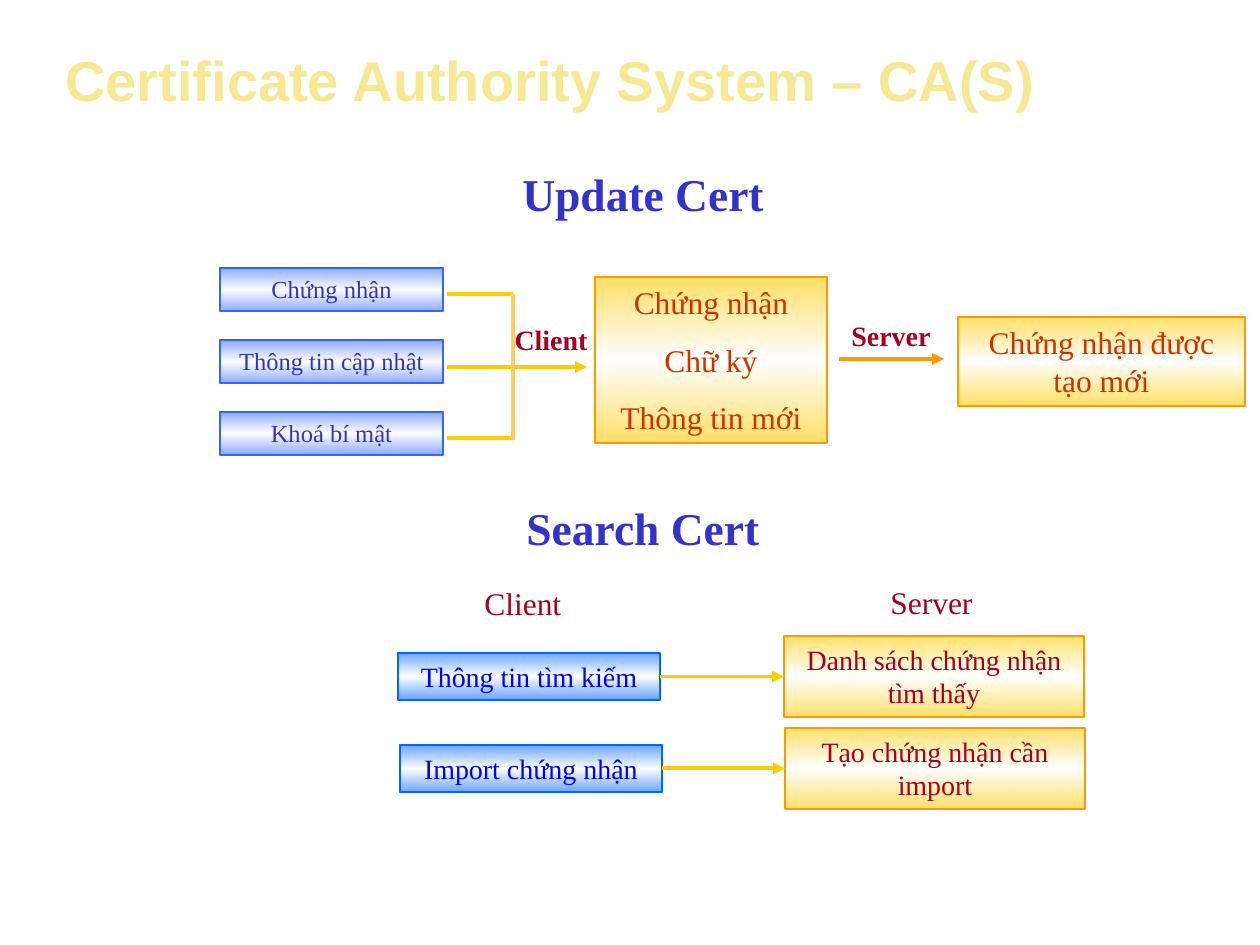
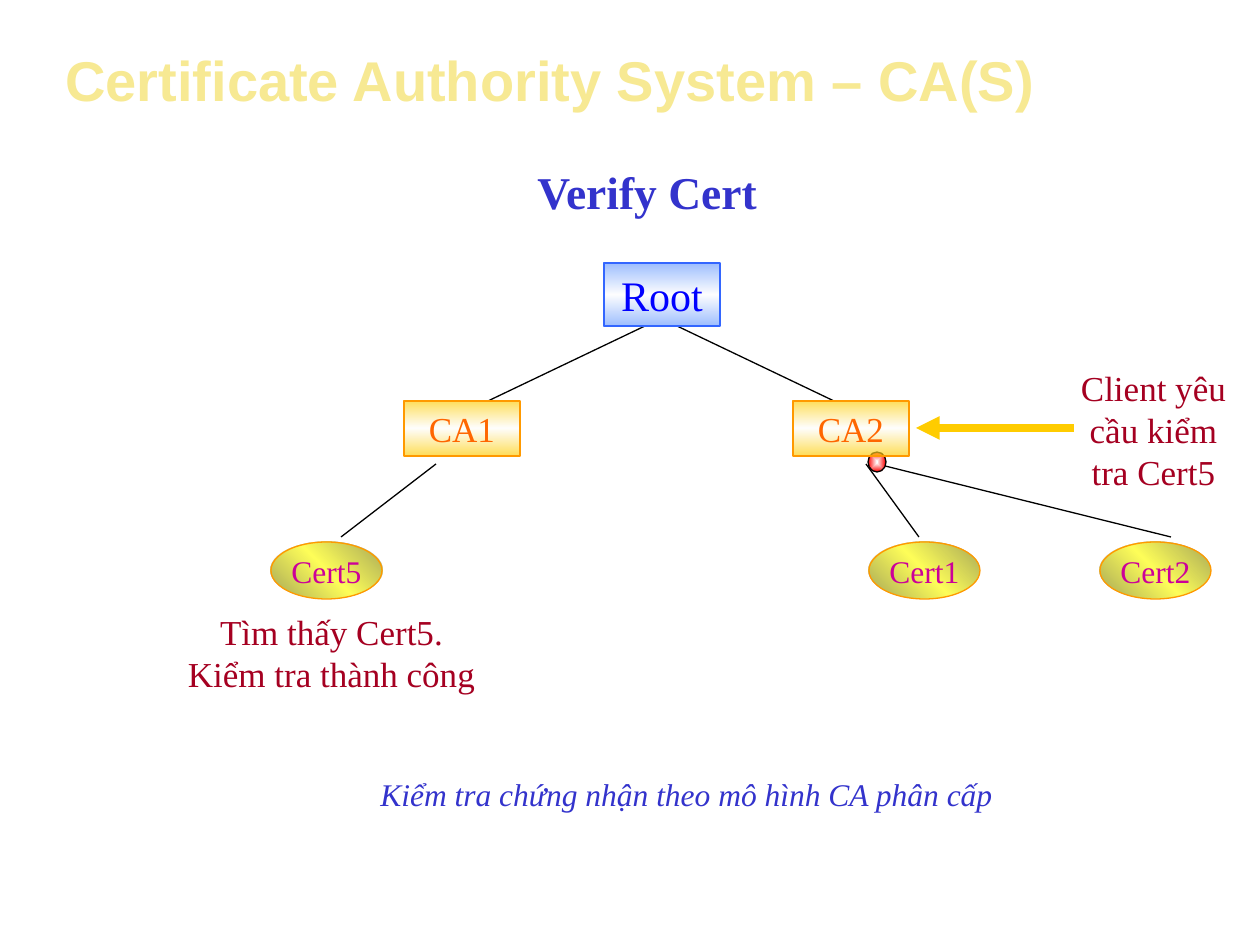
"""Build two slides on updating, searching and verifying certificates."""
from dataclasses import dataclass

from pptx import Presentation
from pptx.dml.color import RGBColor
from pptx.enum.shapes import MSO_CONNECTOR, MSO_SHAPE
from pptx.enum.text import MSO_ANCHOR, MSO_AUTO_SIZE, PP_ALIGN
from pptx.oxml import parse_xml
from pptx.oxml.ns import nsdecls
from pptx.util import Emu, Pt

PIXELS_PER_INCH = 126
TITLE = "Certificate Authority System – CA(S)"


@dataclass(frozen=True)
class TextStyle:
    size: int
    color: str
    bold: bool = False
    italic: bool = False
    font: str = "Times New Roman"
    space_ratio: float = 0


@dataclass(frozen=True)
class BoxStyle:
    edge: str
    middle: str
    alpha: int
    angle: int
    line: str
    text: TextStyle


def box_text(size, color, bold=False):
    return TextStyle(size, color, bold, space_ratio=0.625)


@dataclass(frozen=True)
class Theme:
    gold: str = "FFCC00"
    pale_gold: str = "FFCC66"
    orange: str = "FF9900"
    black: str = "000000"
    title: TextStyle = TextStyle(32, "F7E993", bold=True, font="Arial")
    heading: TextStyle = TextStyle(26, "3333CC", bold=True)
    caption: TextStyle = TextStyle(18, "3333CC", italic=True)
    column: TextStyle = TextStyle(18, "A50021")
    remark: TextStyle = TextStyle(20, "A50021")
    step: TextStyle = box_text(16, "A50021", bold=True)
    input: BoxStyle = BoxStyle("3366FF", "FFFFFF", 56, 90, "3366FF", box_text(14, "3333CC"))
    update: BoxStyle = BoxStyle("FFCC00", "FFFFFF", 60, 90, "FF9900", box_text(18, "CC3300"))
    query: BoxStyle = BoxStyle("0066FF", "FFFFFF", 60, 90, "0066FF", box_text(16, "0000FF"))
    answer: BoxStyle = BoxStyle("FFCC00", "FFFFFF", 58, 90, "FF9900", box_text(16, "A50021"))
    root: BoxStyle = BoxStyle("6699FF", "FFFFFF", 65, 90, "3366FF", box_text(24, "0000FF"))
    authority: BoxStyle = BoxStyle("FFCC00", "FFFFFF", 65, 90, "FF9900", box_text(20, "FF6600"))
    certificate: BoxStyle = BoxStyle("757500", "FFFF00", 65, 135, "FF9900",
                                     TextStyle(18, "CC0099"))


THEME = Theme()


def px(length):
    return Emu(round(length * 914400 / PIXELS_PER_INCH))


def write_text(shape, lines, style, align):
    frame = shape.text_frame
    frame.text = "\n".join(lines)
    for paragraph in frame.paragraphs:
        paragraph.alignment = align
        if style.space_ratio:
            paragraph.space_before = Pt(style.size * style.space_ratio)
        font = paragraph.font
        font.name = style.font
        font.size = Pt(style.size)
        font.bold = style.bold
        font.italic = style.italic
        font.color.rgb = RGBColor.from_string(style.color)


def add_text(slide, bounds, lines, style, wrap=True, align=PP_ALIGN.CENTER):
    shape = slide.shapes.add_textbox(*map(px, bounds))
    write_text(shape, lines, style, align)
    shape.text_frame.word_wrap = wrap
    shape.text_frame.auto_size = MSO_AUTO_SIZE.SHAPE_TO_FIT_TEXT
    return shape


def add_label(slide, bounds, text, style):
    return add_text(slide, bounds, [text], style, wrap=False, align=PP_ALIGN.LEFT)


def add_title(slide):
    shape = add_text(slide, (53, 47, 1154, 73), [TITLE], THEME.title, align=PP_ALIGN.LEFT)
    shape.text_frame.vertical_anchor = MSO_ANCHOR.MIDDLE
    paragraph = shape.text_frame.paragraphs[0]
    paragraph.line_spacing = 0.9
    properties = paragraph.runs[0]._r.get_or_add_rPr()
    properties.append(parse_xml(
        f'<a:effectLst {nsdecls("a")}><a:outerShdw dist="38100" dir="2700000">'
        '<a:srgbClr val="000000"/></a:outerShdw></a:effectLst>'))


def fill_gradient(shape, stops, direction):
    stop_xml = "".join(
        f'<a:gs pos="{position * 1000}"><a:srgbClr val="{color}">'
        f'<a:alpha val="{alpha * 1000}"/></a:srgbClr></a:gs>'
        for position, color, alpha in stops)
    shape.fill.background()
    properties = shape._element.spPr
    gradient = parse_xml(f'<a:gradFill {nsdecls("a")} rotWithShape="1">'
                         f'<a:gsLst>{stop_xml}</a:gsLst>{direction}</a:gradFill>')
    properties.replace(properties.find("{*}noFill"), gradient)


def add_outlined(slide, kind, bounds, line_color):
    shape = slide.shapes.add_shape(kind, *map(px, bounds))
    shape.shadow.inherit = False
    shape.line.color.rgb = RGBColor.from_string(line_color)
    shape.line.width = Pt(0.75)
    return shape


def add_filled(slide, kind, bounds, lines, style):
    shape = add_outlined(slide, kind, bounds, style.line)
    stops = [(0, style.edge, style.alpha), (50, style.middle, style.alpha),
             (100, style.edge, style.alpha)]
    fill_gradient(shape, stops, f'<a:lin ang="{style.angle * 60000}" scaled="1"/>')
    write_text(shape, lines, style.text, PP_ALIGN.CENTER)
    return shape


def add_box(slide, bounds, lines, style):
    shape = add_filled(slide, MSO_SHAPE.RECTANGLE, bounds, lines, style)
    frame = shape.text_frame
    frame.vertical_anchor = MSO_ANCHOR.TOP
    frame.word_wrap = True
    frame.auto_size = MSO_AUTO_SIZE.SHAPE_TO_FIT_TEXT
    return shape


def add_certificate(slide, bounds, text):
    shape = add_filled(slide, MSO_SHAPE.OVAL, bounds, [text], THEME.certificate)
    shape.text_frame.vertical_anchor = MSO_ANCHOR.MIDDLE
    shape.text_frame.word_wrap = False


def add_marker(slide, bounds):
    marker = add_outlined(slide, MSO_SHAPE.OVAL, bounds, THEME.black)
    center = '<a:path path="rect"><a:fillToRect l="50000" t="50000" r="50000" b="50000"/></a:path>'
    fill_gradient(marker, [(0, "FFFFFF", 100), (100, "FF0000", 100)], center)


def add_line(slide, points, color, width=2.25, arrow=False):
    connector = slide.shapes.add_connector(MSO_CONNECTOR.STRAIGHT, *map(px, points))
    connector.line.color.rgb = RGBColor.from_string(color)
    connector.line.width = Pt(width)
    if arrow:
        connector.line._get_or_add_ln().append(
            parse_xml(f'<a:tailEnd {nsdecls("a")} type="triangle"/>'))
    connector._element.spPr.append(parse_xml(f'<a:effectLst {nsdecls("a")}/>'))
    return connector


def add_update_flow(slide):
    add_label(slide, (510, 160, 267, 68), "Update Cert", THEME.heading)
    for row, text in enumerate(["Chứng nhận", "Thông tin cập nhật", "Khoá bí mật"]):
        add_box(slide, (220, 268 + 72 * row, 223, 43), [text], THEME.input)
    add_box(slide, (595, 277, 232, 166), ["Chứng nhận", "Chữ ký", "Thông tin mới"],
            THEME.update)
    add_box(slide, (958, 317, 287, 89), ["Chứng nhận được tạo mới"], THEME.update)
    add_text(slide, (498, 316, 106, 47), ["Client"], THEME.step)
    for y in (294, 367, 438):
        add_line(slide, (447, y, 513, y), THEME.gold)
    add_line(slide, (515, 367, 587, 367), THEME.gold, arrow=True)
    add_line(slide, (513, 294, 513, 440), THEME.pale_gold)
    add_text(slide, (835, 312, 112, 47), ["Server"], THEME.step)
    add_line(slide, (839, 359, 944, 359), THEME.orange, arrow=True)


def add_search_flow(slide):
    add_label(slide, (514, 494, 260, 68), "Search Cert", THEME.heading)
    add_label(slide, (472, 578, 102, 50), "Client", THEME.column)
    add_label(slide, (878, 577, 107, 50), "Server", THEME.column)
    rows = [
        (398, 784, "Thông tin tìm kiếm", "Danh sách chứng nhận tìm thấy"),
        (400, 785, "Import chứng nhận", "Tạo chứng nhận cần import"),
    ]
    for row, (query_left, answer_left, query_text, answer_text) in enumerate(rows):
        offset = 92 * row
        query = add_box(slide, (query_left, 653 + offset, 262, 47), [query_text], THEME.query)
        answer = add_box(slide, (answer_left, 636 + offset, 300, 81), [answer_text],
                         THEME.answer)
        arrow = add_line(slide, (query_left + 262, 677 + offset, answer_left, 677 + offset),
                         THEME.gold, arrow=True)
        arrow.begin_connect(query, 3)
        arrow.end_connect(answer, 1)


def add_verify_tree(slide):
    add_label(slide, (525, 158, 248, 68), "Verify Cert", THEME.heading)
    branches = [(645, 326, 488, 401), (677, 326, 834, 401), (866, 464, 919, 537),
                (877, 464, 1171, 537), (436, 464, 341, 537)]
    for branch in branches:
        add_line(slide, branch, THEME.black, 0.75)
    add_text(slide, (1067, 360, 173, 139), ["Client yêu cầu kiểm tra Cert5"], THEME.remark)
    add_line(slide, (1074, 428, 916, 428), THEME.gold, 4.5, arrow=True)
    add_marker(slide, (868, 452, 18, 20))
    add_text(slide, (164, 604, 335, 97), ["Tìm thấy Cert5.", "Kiểm tra thành công"],
             THEME.remark)
    add_label(slide, (368, 769, 638, 50), "Kiểm tra chứng nhận theo mô hình CA phân cấp",
              THEME.caption)
    add_box(slide, (604, 263, 116, 63), ["Root"], THEME.root)
    for left, name in [(404, "CA1"), (793, "CA2")]:
        add_box(slide, (left, 401, 116, 55), [name], THEME.authority)
    for left, name in [(271, "Cert5"), (869, "Cert1"), (1100, "Cert2")]:
        add_certificate(slide, (left, 542, 111, 57), name)


def main():
    presentation = Presentation()
    presentation.slide_width = px(1260)
    presentation.slide_height = px(945)
    for builders in [(add_update_flow, add_search_flow), (add_verify_tree,)]:
        slide = presentation.slides.add_slide(presentation.slide_layouts[6])
        add_title(slide)
        for build in builders:
            build(slide)
    presentation.save("out.pptx")


if __name__ == "__main__":
    main()
